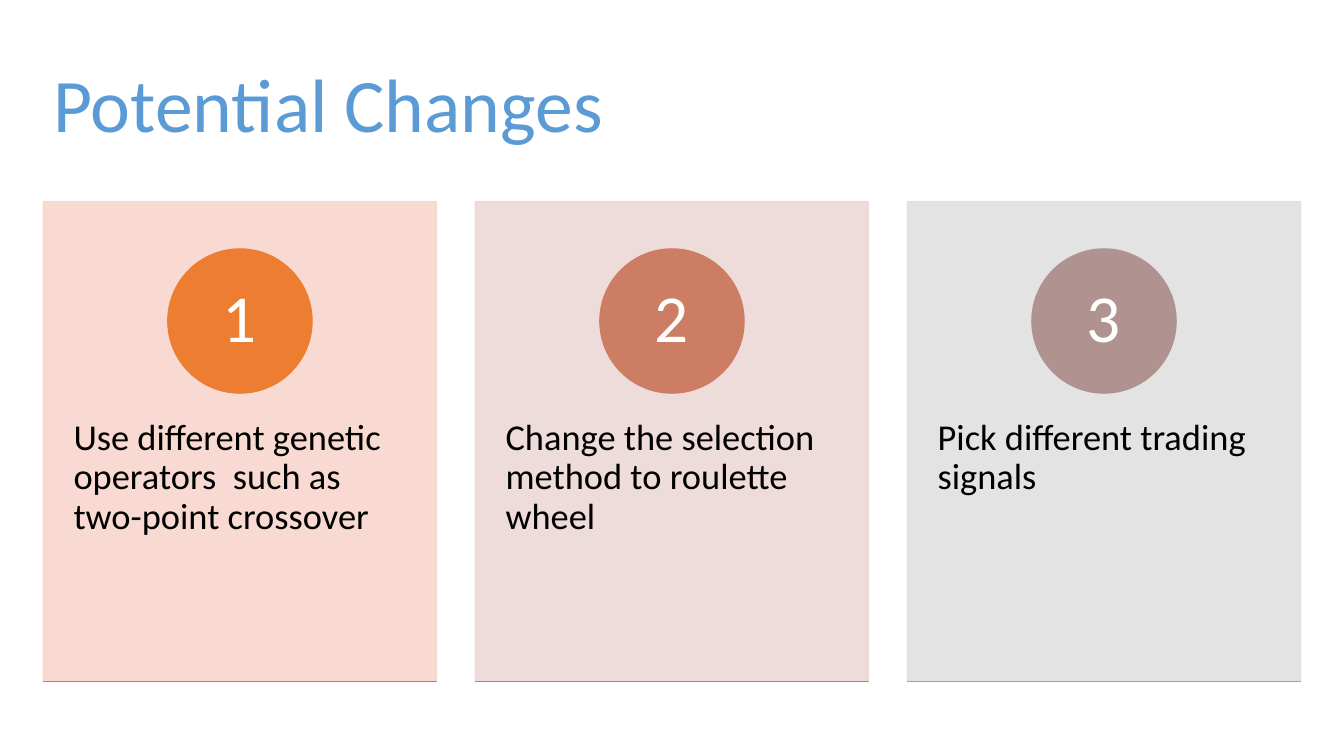
from dataclasses import dataclass

from lxml.etree import SubElement
from pptx import Presentation
from pptx.dml.color import RGBColor
from pptx.enum.shapes import MSO_SHAPE
from pptx.enum.text import MSO_ANCHOR, MSO_AUTO_SIZE, PP_ALIGN
from pptx.oxml.ns import qn
from pptx.util import Inches, Pt


@dataclass(frozen=True)
class Theme:
    """Colours, font and type sizes of the slide."""
    font: str = "Calibri"
    title: str = "5B9BD5"
    text: str = "000000"
    number: str = "FFFFFF"
    title_size: int = 54
    body_size: int = 26
    number_size: int = 48
    cards: tuple = ("F8D7CE", "EDD9D7", "E1E1E1")
    circles: tuple = ("ED7D31", "CC7D64", "B09391")
    rules: tuple = ("DC7A4B", "BD867B", "A5A5A5")


THEME = Theme()
WIDTH, HEIGHT = 13.33, 7.5
MARGIN, GAP = 0.43, 0.385
CONTENT = WIDTH - 2 * MARGIN
CHANGES = (
    "Use different genetic operators  such as two-point crossover",
    "Change the selection method to roulette wheel",
    "Pick different trading signals",
)
CARD_WIDTH = (CONTENT - (len(CHANGES) - 1) * GAP) / len(CHANGES)
CARD_TOP, CARD_HEIGHT = 2, 4.76
BODY_TOP, BODY_HEIGHT = 3.8, 2.86
CIRCLE_TOP, CIRCLE_SIZE = 2.47, 1.43


def box(left, top, width, height):
    """Convert a rectangle in inches to slide units."""
    return [Inches(n) for n in (left, top, width, height)]


def set_text(sp, text, size, color, align, anchor, insets):
    """Write one formatted paragraph into a shape."""
    tf = sp.text_frame
    tf.text = text
    tf.word_wrap = True
    tf.auto_size = MSO_AUTO_SIZE.NONE
    tf.vertical_anchor = anchor
    tf.margin_left = tf.margin_right = Inches(insets[0])
    tf.margin_top = tf.margin_bottom = Inches(insets[1])
    p = tf.paragraphs[0]
    p.alignment = align
    p.line_spacing = 0.9
    font = p.runs[0].font
    font.name = THEME.font
    font.size = Pt(size)
    font.color.rgb = RGBColor.from_string(color)


def add_filled(slide, kind, area, color, opacity=100):
    """Add a preset shape with matching fill and outline."""
    sp = slide.shapes.add_shape(kind, *box(*area))
    sp.shadow.inherit = False
    sp.fill.solid()
    sp.line.width = Pt(1)
    for fill in (sp.fill.fore_color, sp.line.color):
        fill.rgb = RGBColor.from_string(color)
    if opacity < 100:
        for clr in sp.element.spPr.iter(qn("a:srgbClr")):
            SubElement(clr, qn("a:alpha")).set("val", str(opacity * 1000))
    return sp


def add_title(slide, text):
    """Place and format the title placeholder."""
    sp = slide.shapes.title
    sp.left, sp.top, sp.width, sp.height = box(MARGIN, 0.35, CONTENT, 1.45)
    set_text(sp, text, THEME.title_size, THEME.title,
             PP_ALIGN.LEFT, MSO_ANCHOR.MIDDLE, (0.1, 0.05))


def add_card(slide, index, text):
    """Add one numbered card in its column."""
    left = MARGIN + index * (CARD_WIDTH + GAP)
    add_filled(slide, MSO_SHAPE.RECTANGLE,
               (left, CARD_TOP, CARD_WIDTH, CARD_HEIGHT),
               THEME.cards[index], 90)
    body = slide.shapes.add_textbox(*box(left, BODY_TOP, CARD_WIDTH, BODY_HEIGHT))
    set_text(body, text, THEME.body_size, THEME.text,
             PP_ALIGN.LEFT, MSO_ANCHOR.TOP, (0.3, 0.36))
    circle_left = left + (CARD_WIDTH - CIRCLE_SIZE) / 2
    circle = add_filled(slide, MSO_SHAPE.OVAL,
                        (circle_left, CIRCLE_TOP, CIRCLE_SIZE, CIRCLE_SIZE),
                        THEME.circles[index])
    set_text(circle, str(index + 1), THEME.number_size, THEME.number,
             PP_ALIGN.CENTER, MSO_ANCHOR.MIDDLE, (0.11, 0.01))
    add_filled(slide, MSO_SHAPE.RECTANGLE,
               (left, CARD_TOP + CARD_HEIGHT, CARD_WIDTH, 0),
               THEME.rules[index])


def main():
    """Build and save the slide."""
    prs = Presentation()
    prs.slide_width, prs.slide_height = Inches(WIDTH), Inches(HEIGHT)
    slide = prs.slides.add_slide(prs.slide_layouts.get_by_name("Title Only"))
    add_title(slide, "Potential Changes")
    for index, text in enumerate(CHANGES):
        add_card(slide, index, text)
    prs.save("out.pptx")


if __name__ == "__main__":
    main()
